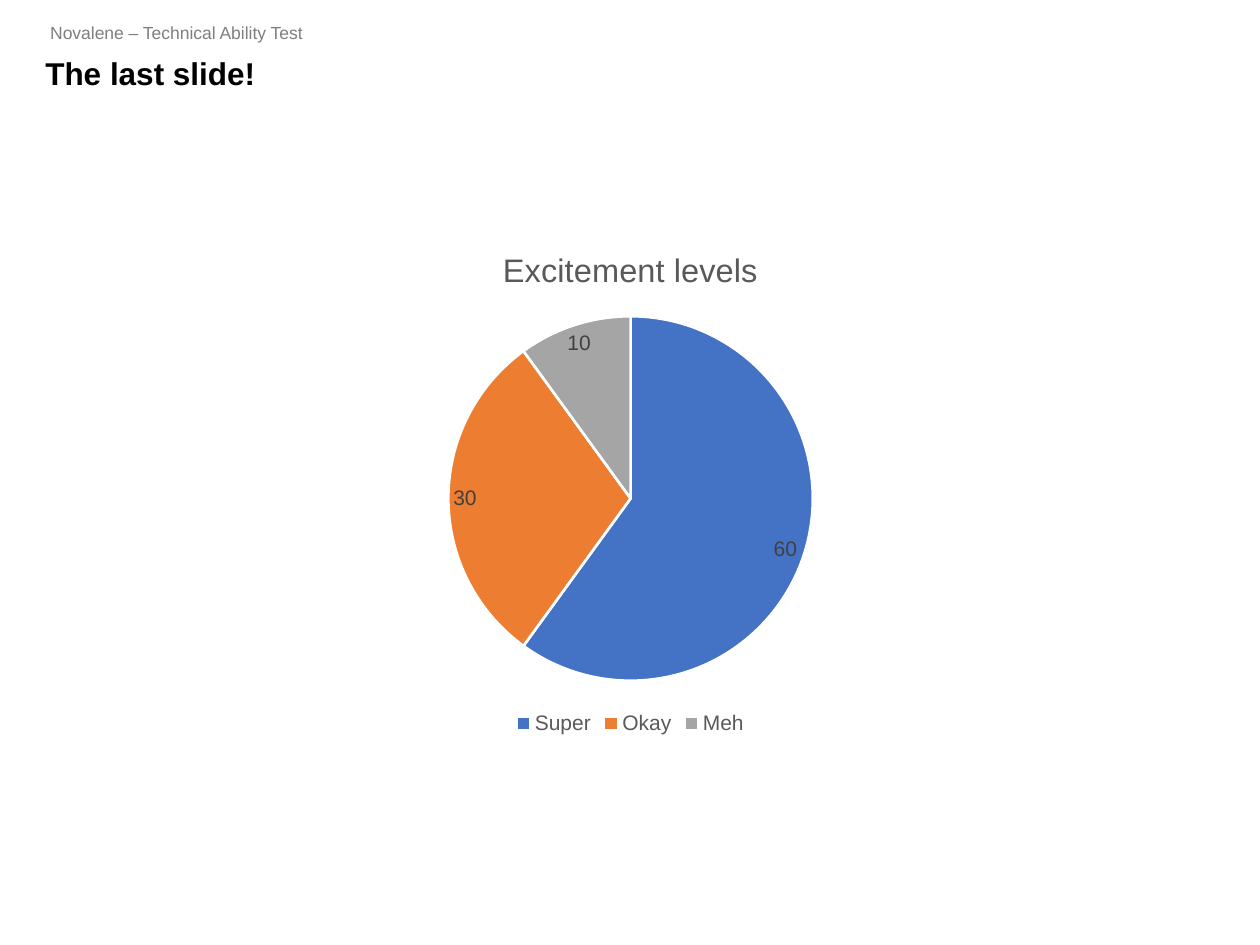
"""Build the closing slide with a pie chart of excitement levels."""
from pptx import Presentation
from pptx import util as u
from pptx.chart.data import CategoryChartData
from pptx.dml.color import RGBColor
from pptx.enum import chart as charts, text

FONT = "Arial"
COLORS = {
    "black": "000000", "header": "7F7F7F", "caption": "595959",
    "label": "404040", "white": "FFFFFF",
    "Super": "4472C4", "Okay": "ED7D31", "Meh": "A5A5A5",
}
LEVELS = {"Super": 60, "Okay": 30, "Meh": 10}


def style(font, size, color, bold=False):
    """Set face, size, colour and weight of a font."""
    font.name, font.size, font.bold = FONT, u.Pt(size), bold
    font.color.rgb = RGBColor.from_string(COLORS[color])


def fill_text(frame, words, anchor, size, color, bold=False):
    """Put one left-aligned styled paragraph into a text frame."""
    frame.word_wrap = True
    frame.auto_size = text.MSO_AUTO_SIZE.NONE
    frame.vertical_anchor = anchor
    para = frame.paragraphs[0]
    para.text = words
    para.alignment = text.PP_ALIGN.LEFT
    style(para.font, size, color, bold)
    return para


deck = Presentation()
deck.slide_width, deck.slide_height = u.Inches(10), u.Inches(7.5)
page = deck.slides.add_slide(deck.slide_layouts[5])

header = page.shapes.add_textbox(u.Inches(0.3), 0, u.Inches(9.45), u.Inches(0.39))
fill_text(header.text_frame, "Novalene – Technical Ability Test",
          text.MSO_ANCHOR.BOTTOM, 10, "header")

title = page.shapes.title
title.left, title.top = u.Inches(0.26), u.Inches(0.4)
title.width, title.height = u.Inches(9.49), u.Inches(0.4)
heading = fill_text(title.text_frame, "The last slide!",
                    text.MSO_ANCHOR.MIDDLE, 18, "black", bold=True)
heading.line_spacing = 0.9

data = CategoryChartData()
data.categories = list(LEVELS)
data.add_series("Excitement levels", list(LEVELS.values()))
chart = page.shapes.add_chart(
    charts.XL_CHART_TYPE.PIE, u.Inches(0.76), u.Inches(1.79),
    u.Inches(8.49), u.Inches(4.08), data).chart
style(chart.font, 10, "black")

chart.has_title = True
caption = chart.chart_title.text_frame.paragraphs[0]
caption.text = "Excitement levels"
style(caption.font, 18.6, "caption")

chart.has_legend = True
chart.legend.position = charts.XL_LEGEND_POSITION.BOTTOM
chart.legend.include_in_layout = False
style(chart.legend.font, 12, "caption")

plot = chart.plots[0]
plot.vary_by_categories = True
for index, level in enumerate(LEVELS):
    slice_format = plot.series[0].points[index].format
    slice_format.fill.solid()
    slice_format.fill.fore_color.rgb = RGBColor.from_string(COLORS[level])
    slice_format.line.color.rgb = RGBColor.from_string(COLORS["white"])
    slice_format.line.width = u.Pt(1.5)

labels = plot.series[0].data_labels
labels.show_value = True
labels.position = charts.XL_LABEL_POSITION.BEST_FIT
style(labels.font, 12, "label")

deck.save("out.pptx")
